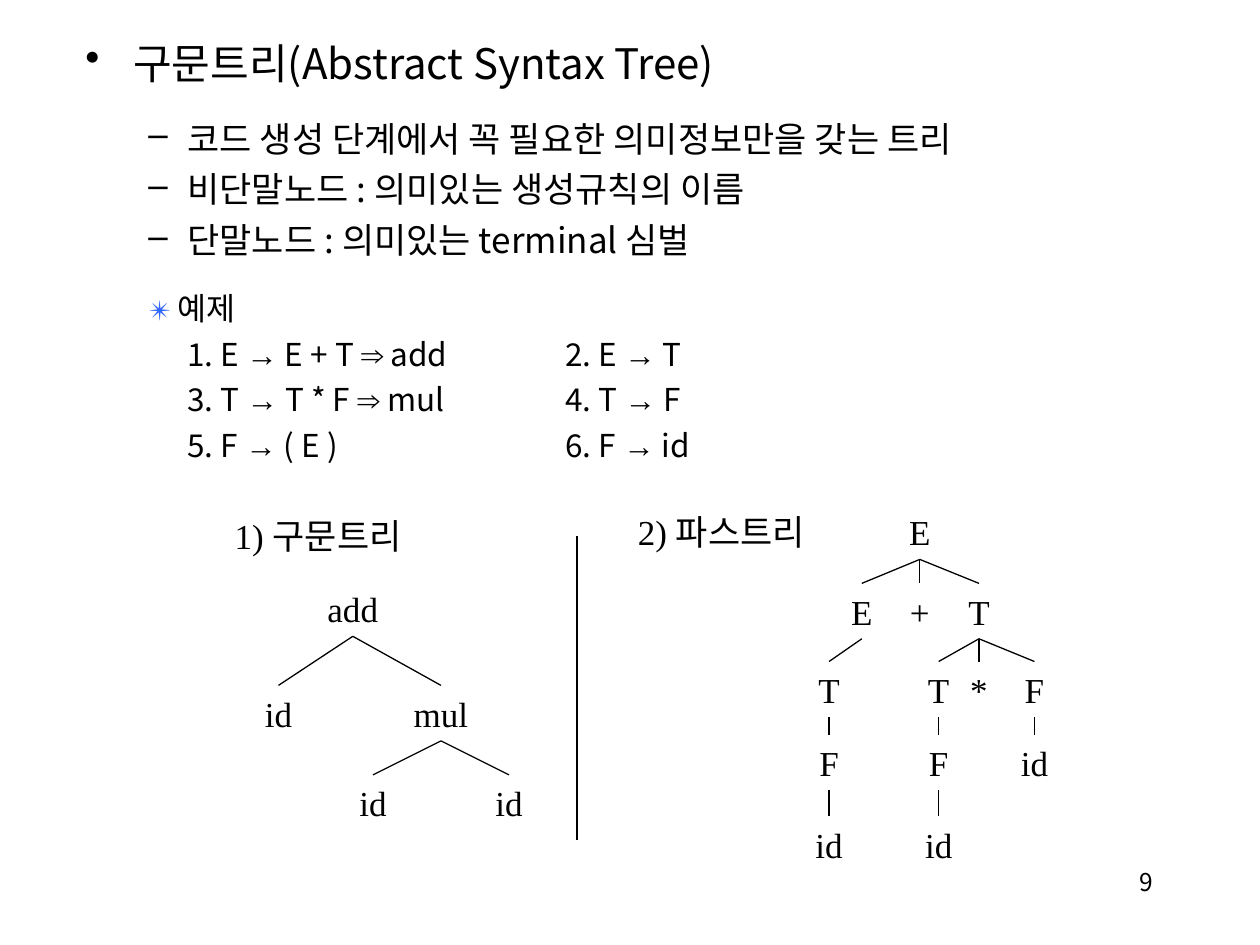
from pptx import Presentation
from pptx.dml.color import RGBColor
from pptx.enum.shapes import MSO_CONNECTOR
from pptx.enum.text import MSO_ANCHOR, MSO_AUTO_SIZE, PP_ALIGN
from pptx.oxml.ns import qn
from pptx.util import Inches, Pt
from lxml.etree import SubElement

BLACK = RGBColor(0x00, 0x00, 0x00)
BLUE = RGBColor(0x33, 0x66, 0xFF)
SANS = "Noto Sans CJK KR"
SERIF = "Times New Roman"
ARROWS = "Arial"
WIDTHS = {"E": 0.37, "T": 0.37, "F": 0.35, "+": 0.35, "*": 0.34,
          "id": 0.41, "add": 0.6, "mul": 0.63}

POINTS = ["코드 생성 단계에서 꼭 필요한 의미정보만을 갖는 트리",
          "비단말노드 : 의미있는 생성규칙의 이름",
          "단말노드 : 의미있는 terminal 심벌"]
RULES = [["\t1. E ", "→", " E + T ", "⇒", " add\t2. E ", "→", " T"],
         ["\t3. T ", "→", " T * F ", "⇒", " mul\t4. T ", "→", " F"],
         ["\t5. F ", "→", " ( E )\t\t6. F ", "→", " id"]]

SYNTAX_ROWS = [4.61, 5.44, 6.15]
SYNTAX_TREE = ("add", 2.8, [
    ("id", 2.21, []),
    ("mul", 3.5, [("id", 2.96, []), ("id", 4.04, [])])])
PARSE_ROWS = [4, 4.63, 5.25, 5.83, 6.48]
PARSE_TREE = ("E", 7.3, [
    ("E", 6.84, [("T", 6.58, [("F", 6.58, [("id", 6.58, [])])])]),
    ("+", 7.3, []),
    ("T", 7.77, [
        ("T", 7.45, [("F", 7.45, [("id", 7.45, [])])]),
        ("*", 7.77, []),
        ("F", 8.21, [("id", 8.21, [])])])])


class Deck:
    def __init__(self, prs):
        self.s = prs.slides.add_slide(prs.slide_layouts[6])
        for style in prs.element.xpath("//*[@defTabSz]"):
            style.set("defTabSz", str(Inches(1)))

    def box(self, x, y, w, h):
        sp = self.s.shapes.add_textbox(Inches(x), Inches(y), Inches(w), Inches(h))
        sp.text_frame.word_wrap = True
        return sp

    def run(self, p, text, size, font=SANS, color=BLACK):
        r = p.add_run()
        r.text = text
        r.font.size = Pt(size)
        r.font.name = font
        r.font.color.rgb = color
        rPr = r.font._element
        rPr.set("kern", "0")
        SubElement(rPr, qn("a:ea"), typeface=SANS if font == SERIF else font)

    def paragraph(self, tf, before, margin, indent, bullet=None, level=0):
        p = tf.paragraphs[0] if not tf.paragraphs[0].runs else tf.add_paragraph()
        p.level = level
        p.space_before = Pt(before)
        pPr = p._p.get_or_add_pPr()
        pPr.set("marL", str(Inches(margin)))
        pPr.set("indent", str(Inches(indent)))
        pPr.set("defTabSz", str(Inches(1)))
        if bullet:
            clr = SubElement(pPr, qn("a:buClr"))
            SubElement(clr, qn("a:srgbClr"), val=str(BLACK))
            SubElement(pPr, qn("a:buChar"), char=bullet)
        else:
            SubElement(pPr, qn("a:buNone"))
        tabs = SubElement(pPr, qn("a:tabLst"))
        for i in range(8):
            SubElement(tabs, qn("a:tab"), pos=str(Inches(i)), algn="l")
        return p

    def label(self, text, x, y, w):
        sp = self.box(x, y, w, 0.44)
        tf = sp.text_frame
        tf.word_wrap = False
        tf.auto_size = MSO_AUTO_SIZE.SHAPE_TO_FIT_TEXT
        tf.vertical_anchor = MSO_ANCHOR.MIDDLE
        tf.margin_left = tf.margin_right = Inches(0.05)
        p = tf.paragraphs[0]
        p.alignment = PP_ALIGN.CENTER
        p.space_before = Pt(5)
        self.run(p, text, 20, SERIF)
        return sp

    def line(self, x1=0, y1=0, x2=0, y2=0):
        c = self.s.shapes.add_connector(
            MSO_CONNECTOR.STRAIGHT, Inches(x1), Inches(y1), Inches(x2), Inches(y2))
        c.line.color.rgb = BLACK
        c.line.width = Pt(0.75)
        SubElement(c._element.spPr, qn("a:effectLst"))
        return c

    def tree(self, node, rows):
        text, center, children = node
        w = WIDTHS[text]
        sp = self.label(text, center - w / 2, rows[0], w)
        for child in children:
            end = self.tree(child, rows[1:])
            c = self.line()
            c.begin_connect(sp, 2)
            c.end_connect(end, 0)
        return sp


def main():
    prs = Presentation()
    prs.slide_width, prs.slide_height = Inches(10), Inches(7.5)
    deck = Deck(prs)

    tf = deck.box(0.58, 0.25, 9.42, 4.42).text_frame
    p = deck.paragraph(tf, 6, 0.38, -0.38, "•")
    deck.run(p, "구문트리(Abstract Syntax Tree)", 24)
    for i, text in enumerate(POINTS):
        p = deck.paragraph(tf, 5 if i else 16.6, 0.81, -0.31, "–", 1)
        deck.run(p, text, 20)
    p = deck.paragraph(tf, 16.1, 0.81, -0.31, level=1)
    deck.run(p, "✴ ", 16, color=BLUE)
    deck.run(p, "예제", 18)
    for rule in RULES:
        p = deck.paragraph(tf, 4.5, 0.81, -0.31, level=1)
        for text in rule:
            deck.run(p, text, 18, ARROWS if text in "→⇒" else SANS)

    deck.tree(SYNTAX_TREE, SYNTAX_ROWS)
    deck.tree(PARSE_TREE, PARSE_ROWS)
    deck.label("1) 구문트리", 1.73, 4.03, 1.59)
    deck.label("2) 파스트리", 4.93, 4, 1.59)
    deck.line(4.58, 4.25, 4.58, 6.67)

    p = deck.box(7.17, 6.83, 2.08, 0.5).text_frame.paragraphs[0]
    p.alignment = PP_ALIGN.RIGHT
    deck.run(p, "9", 14)
    prs.save("out.pptx")


if __name__ == "__main__":
    main()
